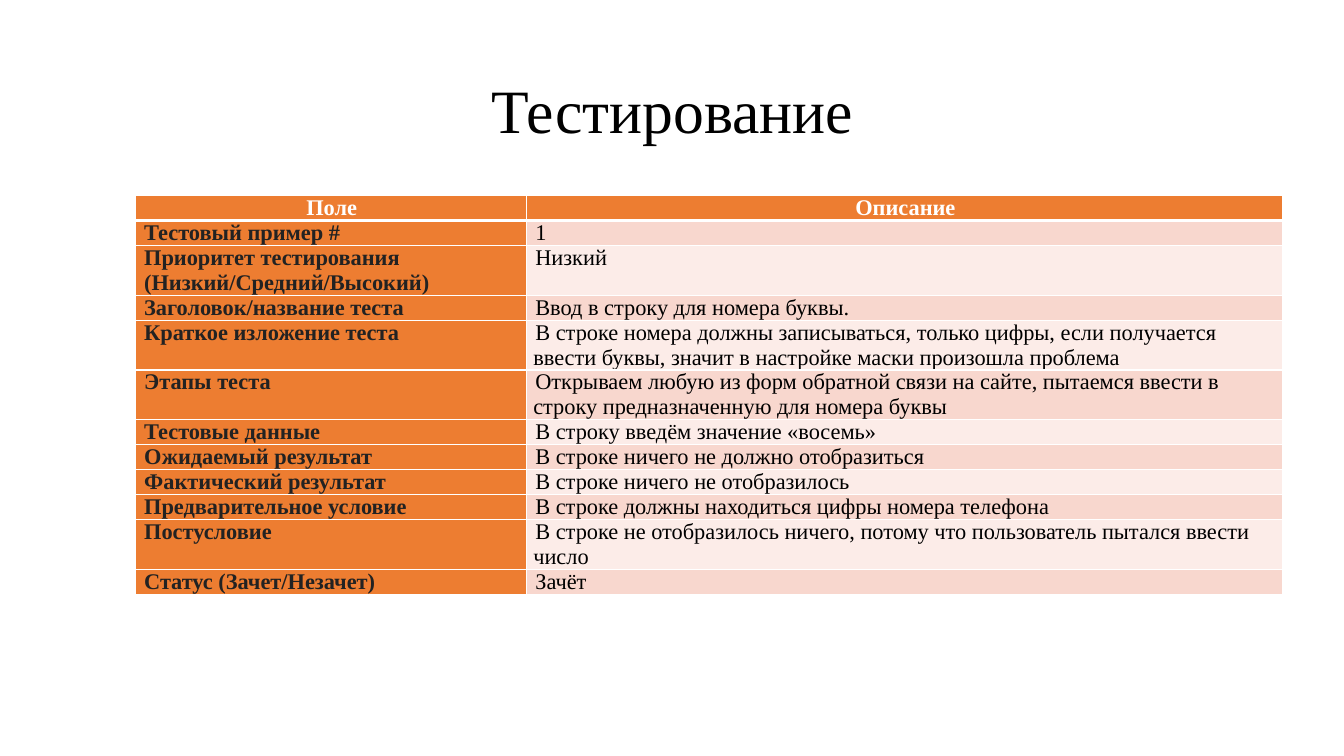
from dataclasses import dataclass

from lxml.etree import SubElement
from pptx import Presentation
from pptx.dml.color import RGBColor
from pptx.enum.text import MSO_ANCHOR, PP_ALIGN
from pptx.oxml.ns import qn
from pptx.slide import Slide
from pptx.table import _Cell
from pptx.text.text import _Paragraph
from pptx.util import Inches, Pt

FONT = "Times New Roman"
BLACK = RGBColor(0x00, 0x00, 0x00)
DARK = RGBColor(0x22, 0x22, 0x22)
WHITE = RGBColor(0xFF, 0xFF, 0xFF)
ORANGE = RGBColor(0xED, 0x7D, 0x31)
ROSE = RGBColor(0xF8, 0xD7, 0xCE)
PALE = RGBColor(0xFC, 0xEC, 0xE8)
LINE = 0.24  # height of one text line, inches


@dataclass
class Row:
    field: str
    note: str
    lines: int = 1


@dataclass
class Look:
    fill: RGBColor
    color: RGBColor
    bold: bool = False
    align: PP_ALIGN = PP_ALIGN.LEFT


ROWS = [
    Row("Поле", "Описание"),
    Row("Тестовый пример #", "1"),
    Row("Приоритет тестирования\n(Низкий/Средний/Высокий)", "Низкий", 2),
    Row("Заголовок/название теста", "Ввод в строку для номера буквы."),
    Row("Краткое изложение теста",
        "В строке номера должны записываться, только цифры, если получается "
        "ввести буквы, значит в настройке маски произошла проблема", 2),
    Row("Этапы теста",
        "Открываем любую из форм обратной связи на сайте, пытаемся ввести в "
        "строку предназначенную для номера буквы", 2),
    Row("Тестовые данные", "В строку введём значение «восемь»"),
    Row("Ожидаемый результат", "В строке ничего не должно отобразиться"),
    Row("Фактический результат", "В строке ничего не отобразилось"),
    Row("Предварительное условие",
        "В строке должны находиться цифры номера телефона"),
    Row("Постусловие",
        "В строке не отобразилось ничего, потому что пользователь пытался "
        "ввести число", 2),
    Row("Статус (Зачет/Незачет)", "Зачёт"),
]

HEAD = Look(ORANGE, WHITE, True, PP_ALIGN.CENTER)
FIELD = Look(ORANGE, DARK, True)
NOTES = [Look(PALE, BLACK), Look(ROSE, BLACK)]


def style(para: _Paragraph, size: int, color: RGBColor, bold: bool) -> None:
    for run in para.runs:
        run.font.name = FONT
        run.font.size = Pt(size)
        run.font.bold = bold
        run.font.color.rgb = color


def add_edges(cell: _Cell, top: int, base: int) -> None:
    props = cell._tc.get_or_add_tcPr()
    for side, width in (("L", 1), ("R", 1), ("T", top), ("B", base)):
        line = SubElement(props, qn(f"a:ln{side}"), w=str(Pt(width)))
        fill = SubElement(line, qn("a:solidFill"))
        SubElement(fill, qn("a:srgbClr"), val=str(WHITE))


def fill_cell(cell: _Cell, text: str, look: Look, index: int) -> None:
    # The rule under the header row is thicker
    add_edges(cell, 3 if index == 1 else 1, 3 if index == 0 else 1)
    cell.fill.solid()
    cell.fill.fore_color.rgb = look.fill
    cell.margin_left = cell.margin_right = Inches(0.07)
    cell.margin_top = cell.margin_bottom = 0
    cell.text_frame.text = text
    for para in cell.text_frame.paragraphs:
        para.alignment = look.align
        para._p.get_or_add_pPr().set("indent", str(Inches(0.02)))
        style(para, 16, look.color, look.bold)


def add_title(slide: Slide) -> None:
    title = slide.shapes.title
    title.left, title.top = Inches(0.92), Inches(0.4)
    title.width, title.height = Inches(11.5), Inches(1.45)
    frame = title.text_frame
    frame.text = "Тестирование"
    frame.vertical_anchor = MSO_ANCHOR.MIDDLE
    para = frame.paragraphs[0]
    para.alignment = PP_ALIGN.CENTER
    para.line_spacing = 0.9
    style(para, 44, BLACK, False)


def add_grid(slide: Slide) -> None:
    total = sum(row.lines for row in ROWS)
    table = slide.shapes.add_table(
        len(ROWS), 2, Inches(1.34), Inches(1.94),
        Inches(11.38), Inches(LINE * total)).table
    table.horz_banding = False
    table.columns[0].width = Inches(3.88)
    table.columns[1].width = Inches(7.5)
    for index, row in enumerate(ROWS):
        table.rows[index].height = Inches(LINE * row.lines)
        looks = (FIELD, NOTES[index % 2]) if index else (HEAD, HEAD)
        for col, text in enumerate((row.field, row.note)):
            fill_cell(table.cell(index, col), text, looks[col], index)


def main() -> None:
    deck = Presentation()
    deck.slide_width, deck.slide_height = Inches(13.33), Inches(7.5)
    slide = deck.slides.add_slide(deck.slide_layouts[5])
    add_title(slide)
    add_grid(slide)
    deck.save("out.pptx")


if __name__ == "__main__":
    main()
